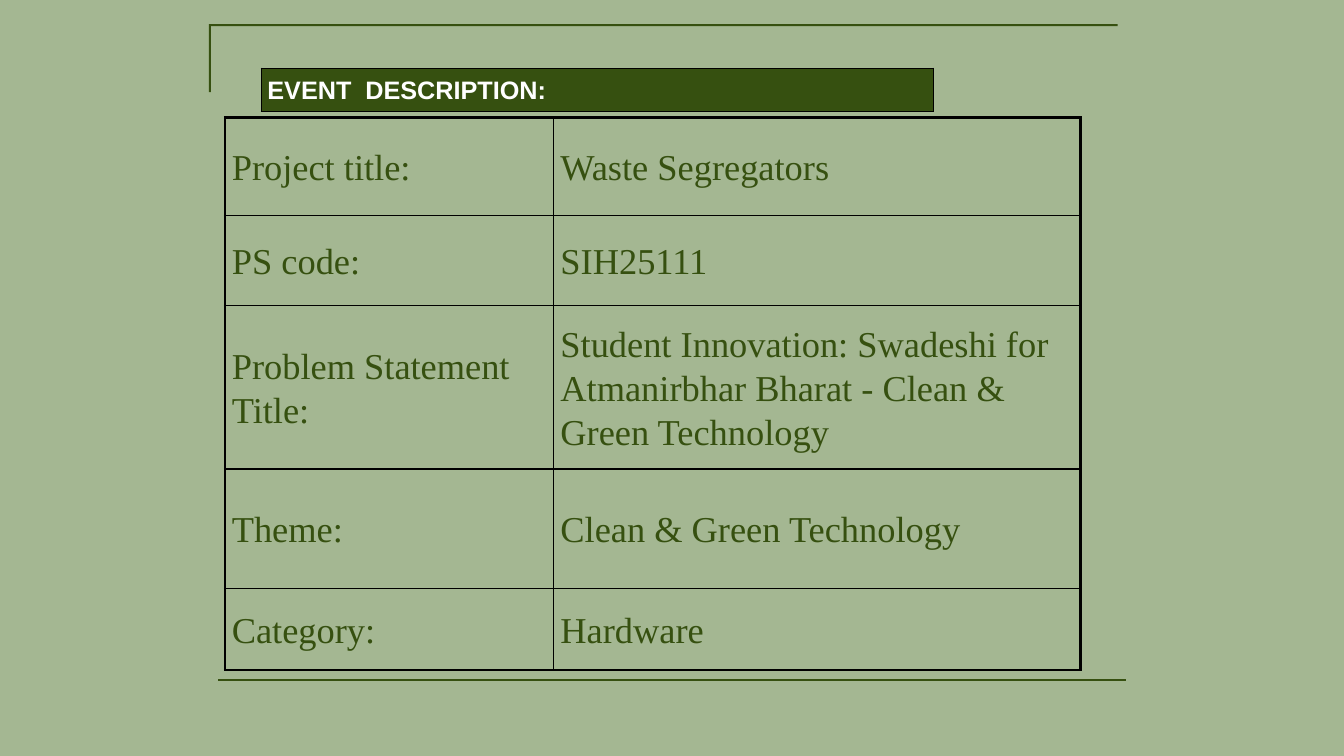
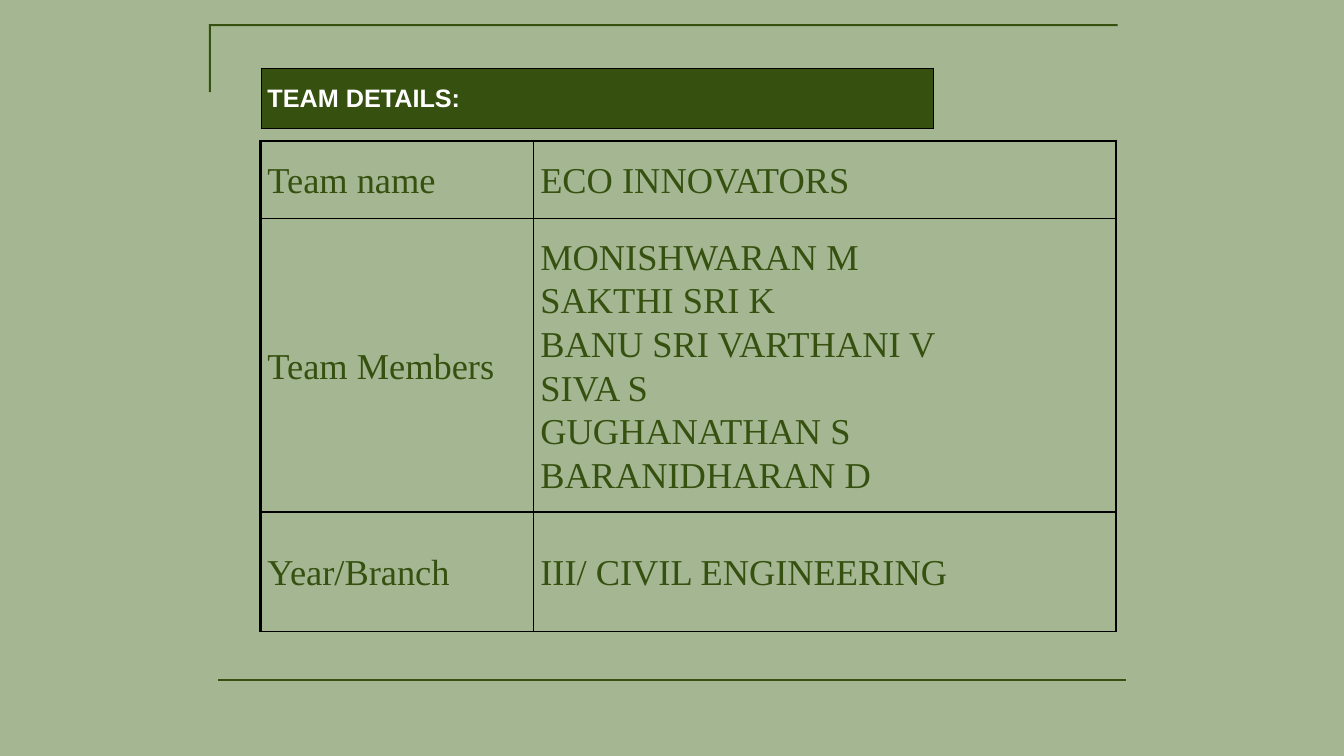
import dataclasses

import lxml.etree
import pptx
import pptx.dml.color
import pptx.enum.text
import pptx.oxml.ns
import pptx.util

Inches = pptx.util.Inches
Pt = pptx.util.Pt
RGBColor = pptx.dml.color.RGBColor

SAGE = RGBColor(0xA4, 0xB7, 0x92)
MOSS = RGBColor(0x36, 0x50, 0x10)
WHITE = RGBColor(0xFF, 0xFF, 0xFF)
BLACK = RGBColor(0x00, 0x00, 0x00)

HAIR, THIN, THICK = 0.53, 1.41, 3.16
PAD = Inches(0.1)

CORNER = [(3.11, 1.37), (3.11, 0.36), (16.63, 0.36), (16.63, 0.39), (3.14, 0.39), (3.14, 1.37)]
FOOTER = [(3.25, 10.11), (16.75, 10.11), (16.75, 10.14), (3.25, 10.14)]


@dataclasses.dataclass(frozen=True)
class Style:
    font: str
    size: int
    color: RGBColor
    bold: bool = False


@dataclasses.dataclass(frozen=True)
class Grid:
    left: float
    top: float
    cols: list[float]
    rows: list[float]
    texts: list[list[str]]
    style: Style
    inner: float = THIN
    outer: float = THICK
    base: float = THICK
    fill: RGBColor | None = None


@dataclasses.dataclass(frozen=True)
class Page:
    title: str
    height: float
    body: Grid


LABEL = Style("Times New Roman", 39, MOSS)
TITLE = Style("Arial", 27, WHITE, True)

PAGES = [
    Page("EVENT  DESCRIPTION:", 0.6, Grid(
        3.35, 1.75, [4.89, 7.84], [1.46, 1.34, 2.43, 1.78, 1.21],
        [
            ["Project title:", "Waste Segregators"],
            ["PS code:", "SIH25111"],
            ["Problem Statement Title:",
             "Student Innovation: Swadeshi for Atmanirbhar Bharat - Clean & Green Technology"],
            ["Theme:", "Clean & Green Technology"],
            ["Category:", "Hardware"],
        ], LABEL)),
    Page("TEAM DETAILS:", 0.9, Grid(
        3.88, 2.1, [4.06, 8.67], [1.15, 4.37, 1.78],
        [
            ["Team name", "ECO INNOVATORS"],
            ["Team Members",
             "MONISHWARAN M\nSAKTHI SRI K\nBANU SRI VARTHANI V\n"
             "SIVA S\nGUGHANATHAN S\nBARANIDHARAN D"],
            ["Year/Branch", "III/ CIVIL ENGINEERING"],
        ], LABEL, base=THIN)),
]


def draw_outline(slide, points: list[tuple[float, float]]) -> None:
    spots = [(Inches(x), Inches(y)) for x, y in points]
    maker = slide.shapes.build_freeform(*spots[0])
    maker.add_line_segments(spots[1:], close=True)
    shape = maker.convert_to_shape()
    shape.shadow.inherit = False
    shape.fill.solid()
    shape.fill.fore_color.rgb = MOSS
    shape.line.fill.background()


def set_borders(cell, widths: dict[str, float]) -> None:
    """Put a black line on each side; lines must precede the fill in the XML."""
    qn = pptx.oxml.ns.qn
    props = cell._tc.get_or_add_tcPr()
    for index, (side, width) in enumerate(widths.items()):
        line = lxml.etree.Element(qn(f"a:ln{side}"), w=str(Pt(width)))
        fill = lxml.etree.SubElement(line, qn("a:solidFill"))
        lxml.etree.SubElement(fill, qn("a:srgbClr"), val=str(BLACK))
        props.insert(index, line)


def fill_cell(cell, text: str, style: Style, fill: RGBColor | None) -> None:
    cell.vertical_anchor = pptx.enum.text.MSO_ANCHOR.MIDDLE
    cell.margin_left = cell.margin_right = cell.margin_top = cell.margin_bottom = PAD
    if fill is None:
        cell.fill.background()
    else:
        cell.fill.solid()
        cell.fill.fore_color.rgb = fill
    cell.text_frame.text = text
    for para in cell.text_frame.paragraphs:
        para.line_spacing = Pt(style.size * 1.2)
        for run in para.runs:
            run.font.name = style.font
            run.font.size = Pt(style.size)
            run.font.bold = style.bold
            run.font.color.rgb = style.color


def draw_grid(slide, grid: Grid) -> None:
    frame = slide.shapes.add_table(
        len(grid.rows), len(grid.cols), Inches(grid.left), Inches(grid.top),
        Inches(sum(grid.cols)), Inches(sum(grid.rows)))
    table = frame.table
    table.first_row = table.horz_banding = False
    for col, width in zip(table.columns, grid.cols):
        col.width = Inches(width)
    for row, height in zip(table.rows, grid.rows):
        row.height = Inches(height)
    last_row, last_col = len(grid.rows) - 1, len(grid.cols) - 1
    for r, texts in enumerate(grid.texts):
        for c, text in enumerate(texts):
            cell = table.cell(r, c)
            fill_cell(cell, text, grid.style, grid.fill)
            set_borders(cell, {
                "L": grid.outer if c == 0 else grid.inner,
                "R": grid.outer if c == last_col else grid.inner,
                "T": grid.outer if r == 0 else grid.inner,
                "B": grid.base if r == last_row else grid.inner,
            })


def draw_page(deck, page: Page) -> None:
    slide = deck.slides.add_slide(deck.slide_layouts[6])
    slide.background.fill.solid()
    slide.background.fill.fore_color.rgb = SAGE
    draw_outline(slide, CORNER)
    draw_outline(slide, FOOTER)
    draw_grid(slide, page.body)
    draw_grid(slide, Grid(3.88, 1.01, [10], [page.height], [[page.title]],
                          TITLE, HAIR, HAIR, HAIR, MOSS))


def main() -> None:
    deck = pptx.Presentation()
    deck.slide_width = Inches(20)
    deck.slide_height = Inches(11.25)
    for page in PAGES:
        draw_page(deck, page)
    deck.save("out.pptx")


if __name__ == "__main__":
    main()
